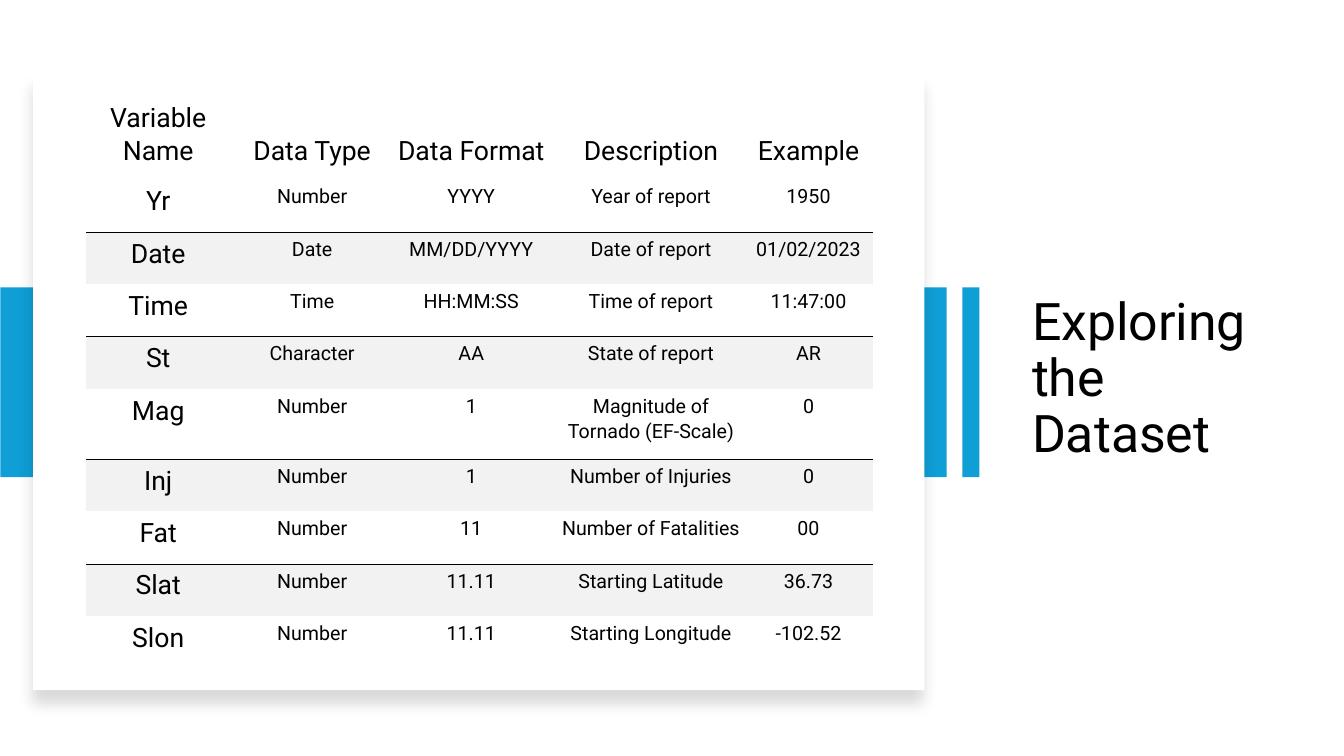
from lxml import etree
from pptx import Presentation
from pptx.dml.color import RGBColor
from pptx.enum.shapes import MSO_SHAPE
from pptx.enum.text import MSO_ANCHOR, PP_ALIGN
from pptx.oxml.ns import qn
from pptx.util import Pt

RECT = MSO_SHAPE.RECTANGLE
TOP, MIDDLE, BOTTOM = MSO_ANCHOR.TOP, MSO_ANCHOR.MIDDLE, MSO_ANCHOR.BOTTOM
LEFT, CENTER = PP_ALIGN.LEFT, PP_ALIGN.CENTER

BLUE, WHITE, BLACK, GRAY = "0F9ED5", "FFFFFF", "000000", "F2F2F2"
FONT = "Roboto"
WIDTHS = [110, 110, 117.3, 139.5, 85.5]
HEAD, LINE, TALL = 60.5, 37.5, 49.75
ROWS = [
    ["Variable Name", "Data Type", "Data Format", "Description", "Example"],
    ["Yr", "Number", "YYYY", "Year of report", "1950"],
    ["Date", "Date", "MM/DD/YYYY", "Date of report", "01/02/2023"],
    ["Time", "Time", "HH:MM:SS", "Time of report", "11:47:00"],
    ["St", "Character", "AA", "State of report", "AR"],
    ["Mag", "Number", "1", "Magnitude of Tornado (EF-Scale)", "0"],
    ["Inj", "Number", "1", "Number of Injuries", "0"],
    ["Fat", "Number", "11", "Number of Fatalities", "00"],
    ["Slat", "Number", "11.11", "Starting Latitude", "36.73"],
    ["Slon", "Number", "11.11", "Starting Longitude", "-102.52"],
]


def color(code):
    return RGBColor.from_string(code)


def apply(item, values):
    for name, value in values.items():
        setattr(item, name, value)


def write(frame, text, size, **style):
    para = frame.paragraphs[0]
    apply(para, style)
    run = para.add_run()
    run.text = text
    apply(run.font, {"name": FONT, "size": Pt(size), "bold": False})
    run.font.color.rgb = color(BLACK)


def add_rect(slide, box, fill, turn=0):
    rect = slide.shapes.add_shape(RECT, *map(Pt, box))
    rect.rotation = turn
    rect.shadow.inherit = False
    rect.fill.solid()
    rect.fill.fore_color.rgb = color(fill)
    rect.line.fill.background()
    return rect


def add_card(slide, box):
    card = add_rect(slide, box, WHITE)
    effects = card.element.spPr.find(qn("a:effectLst"))
    shadow = etree.SubElement(
        effects, qn("a:outerShdw"), blurRad=str(Pt(11)), dist=str(Pt(10)),
        dir="5400000", algn="t", rotWithShape="0")
    tint = etree.SubElement(shadow, qn("a:srgbClr"), val=BLACK)
    etree.SubElement(tint, qn("a:alpha"), val="15000")


def add_edges(cell, drawn):
    props = cell._tc.get_or_add_tcPr()
    for side in "LRTB":
        edge = etree.SubElement(props, qn("a:ln" + side), w=str(Pt(0.75)))
        if side in drawn:
            fill = etree.SubElement(edge, qn("a:solidFill"))
            etree.SubElement(fill, qn("a:srgbClr"), val=BLACK)
        else:
            etree.SubElement(edge, qn("a:noFill"))


def fill_cell(cell, text, row, col):
    head, last = row == 0, row == len(ROWS) - 1
    band = row % 2 == 0 and not head
    add_edges(cell, "T" if band else "" if head or last else "B")
    if band:
        cell.fill.solid()
        cell.fill.fore_color.rgb = color(GRAY)
    else:
        cell.fill.background()
    apply(cell, {
        "margin_left": 0, "margin_top": Pt(1.5 if head else 3),
        "margin_right": Pt(6.5), "margin_bottom": Pt(8.75),
        "vertical_anchor": BOTTOM if head else TOP,
    })
    write(cell.text_frame, text, 19 if head or col == 0 else 14,
          alignment=CENTER, line_spacing=1.07, space_after=Pt(8))


def add_grid(slide, left, top):
    heights = [HEAD] + [TALL if row[0] == "Mag" else LINE for row in ROWS[1:]]
    box = left, top, sum(WIDTHS), sum(heights)
    table = slide.shapes.add_table(
        len(ROWS), len(WIDTHS), *map(Pt, box)).table
    apply(table, {"first_row": False, "horz_banding": False})
    for col, width in zip(table.columns, WIDTHS):
        col.width = Pt(width)
    for row, height in zip(table.rows, heights):
        row.height = Pt(height)
    for r, row in enumerate(ROWS):
        for c, text in enumerate(row):
            fill_cell(table.cell(r, c), text, r, c)


def set_title(slide, box, text):
    title = slide.shapes.title
    apply(title, dict(zip(("left", "top", "width", "height"), map(Pt, box))))
    apply(title.text_frame, {"word_wrap": True, "vertical_anchor": MIDDLE})
    write(title.text_frame, text, 37, alignment=LEFT,
          line_spacing=0.9, space_after=Pt(6))


def main():
    deck = Presentation()
    apply(deck, {"slide_width": Pt(960), "slide_height": Pt(540)})
    slide = deck.slides.add_slide(deck.slide_layouts[5])
    set_title(slide, (730, 159, 194.5, 224), "Exploring the Dataset")
    add_rect(slide, (270.5, -65, 135.5, 676), BLUE, 270)
    add_card(slide, (23.75, 52.5, 636.5, 440.5))
    add_rect(slide, (625.75, 267, 135.5, 12.25), BLUE, 90)
    add_grid(slide, 61.25, 67.75)
    deck.save("out.pptx")


if __name__ == "__main__":
    main()
